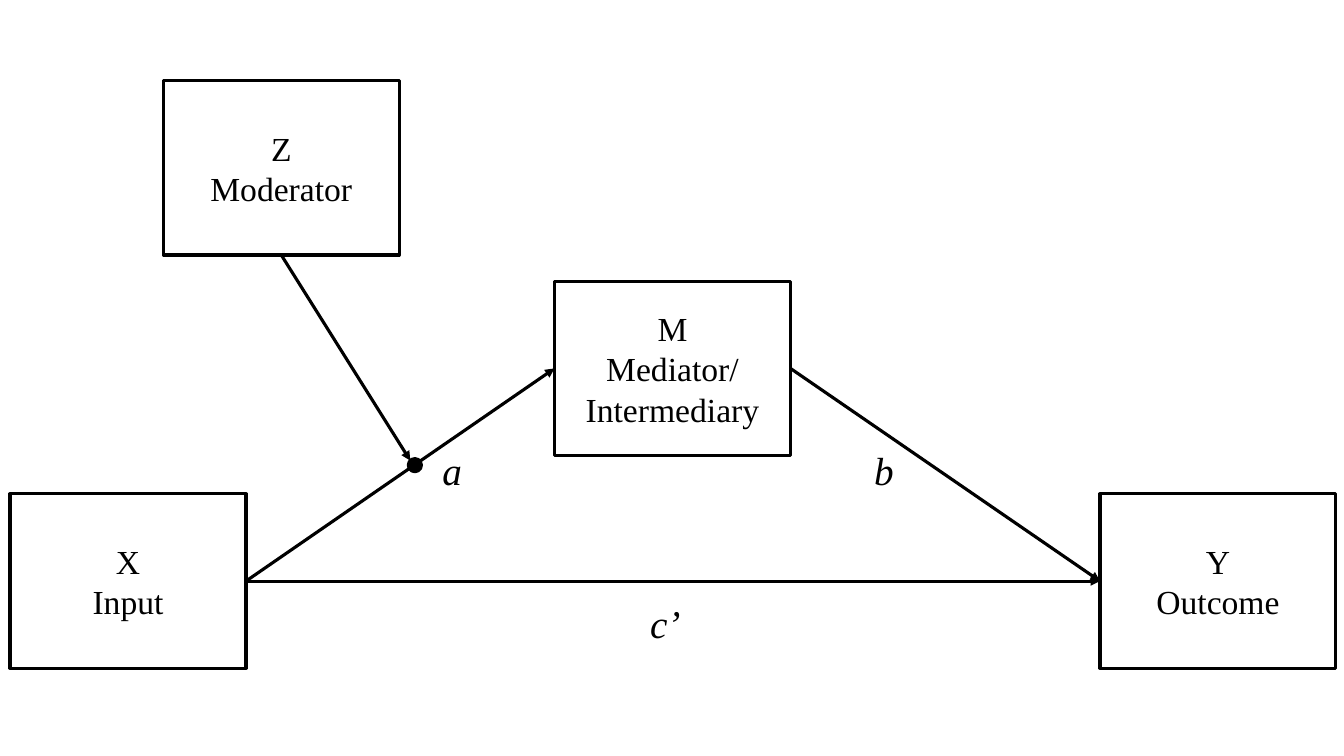
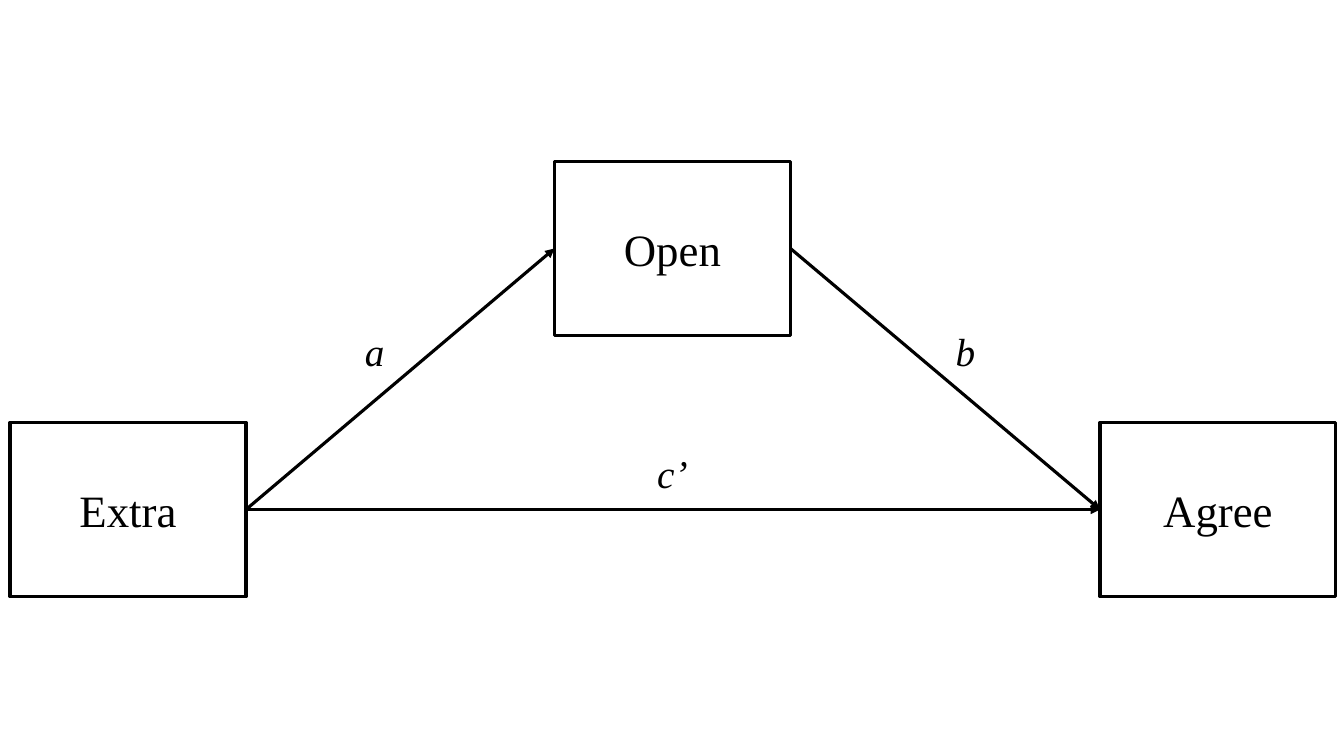
from dataclasses import dataclass

from lxml.etree import SubElement
from pptx import Presentation
from pptx.dml.color import RGBColor
from pptx.enum.shapes import MSO_CONNECTOR, MSO_SHAPE
from pptx.enum.text import MSO_ANCHOR, MSO_AUTO_SIZE, PP_ALIGN
from pptx.oxml.ns import qn
from pptx.util import Inches, Pt


@dataclass(frozen=True)
class Theme:
    ink: RGBColor = RGBColor(0, 0, 0)
    paper: RGBColor = RGBColor(255, 255, 255)
    font: str = "Times New Roman"
    detail_size: int = 24
    name_size: int = 32
    path_size: int = 28
    line_width: float = 2.25


THEME = Theme()
BOX_WIDTH, BOX_HEIGHT = 2.34, 1.73
LABEL_HEIGHT = 0.57
DOT_SIZE = 0.13
# Left edges of the three boxes of a mediation triangle
INPUT_LEFT, MEDIATOR_LEFT, OUTCOME_LEFT = 0.1, 5.5, 10.91
# Connection sites of a rectangle
LEFT, BOTTOM, RIGHT = 1, 2, 3


def style_text(text_frame, size, italic=False, alignment=None):
    for paragraph in text_frame.paragraphs:
        paragraph.alignment = alignment
        for run in paragraph.runs:
            run.font.name = THEME.font
            run.font.size = Pt(size)
            run.font.italic = italic
            run.font.color.rgb = THEME.ink


def add_outlined(slide, preset, left, top, width, height, fill):
    shape = slide.shapes.add_shape(
        preset, Inches(left), Inches(top), Inches(width), Inches(height))
    shape.shadow.inherit = False
    shape.fill.solid()
    shape.fill.fore_color.rgb = fill
    shape.line.color.rgb = THEME.ink
    shape.line.width = Pt(THEME.line_width)
    return shape


def add_variable(slide, text, left, top, size):
    box = add_outlined(slide, MSO_SHAPE.RECTANGLE, left, top,
                       BOX_WIDTH, BOX_HEIGHT, THEME.paper)
    box.text_frame.text = text
    box.text_frame.vertical_anchor = MSO_ANCHOR.MIDDLE
    style_text(box.text_frame, size, alignment=PP_ALIGN.CENTER)
    return box


def add_arrow(slide, source, source_site, target=None, target_site=LEFT,
              end=(0, 0)):
    """Draw an arrow from a box to another box, or to a free end point."""
    arrow = slide.shapes.add_connector(
        MSO_CONNECTOR.STRAIGHT, 0, 0, Inches(end[0]), Inches(end[1]))
    arrow.begin_connect(source, source_site)
    if target is not None:
        arrow.end_connect(target, target_site)
    arrow.line.color.rgb = THEME.ink
    arrow.line.width = Pt(THEME.line_width)
    SubElement(arrow.line._get_or_add_ln(), qn("a:tailEnd"), type="triangle")
    SubElement(arrow._element.spPr, qn("a:effectLst"))


def add_path_label(slide, text, left, top, width=0.45):
    label = slide.shapes.add_textbox(
        Inches(left), Inches(top), Inches(width), Inches(LABEL_HEIGHT))
    label.text_frame.text = text
    label.text_frame.word_wrap = True
    label.text_frame.auto_size = MSO_AUTO_SIZE.SHAPE_TO_FIT_TEXT
    style_text(label.text_frame, THEME.path_size, italic=True)


def add_mediation(slide, names, size, mediator_top, base_top, label_places):
    """Draw input, mediator and outcome with the paths a, b and c’."""
    input_name, mediator_name, outcome_name = names
    mediator = add_variable(slide, mediator_name, MEDIATOR_LEFT,
                            mediator_top, size)
    outcome = add_variable(slide, outcome_name, OUTCOME_LEFT, base_top, size)
    source = add_variable(slide, input_name, INPUT_LEFT, base_top, size)

    for start, finish in ((mediator, outcome), (source, mediator),
                          (source, outcome)):
        add_arrow(slide, start, RIGHT, finish)

    a_place, b_place, direct_place = label_places
    add_path_label(slide, "a", *a_place)
    add_path_label(slide, "b", *b_place)
    add_path_label(slide, "c’", *direct_place, width=0.57)


def add_moderator(slide, text, left, top, dot_left, dot_top):
    """Draw a moderator that points at a dot on a path."""
    moderator = add_variable(slide, text, left, top, THEME.detail_size)
    add_arrow(slide, moderator, BOTTOM, end=(dot_left + 0.02, dot_top + 0.02))
    add_outlined(slide, MSO_SHAPE.OVAL, dot_left, dot_top,
                 DOT_SIZE, DOT_SIZE, THEME.ink)


def main():
    presentation = Presentation()
    presentation.slide_width = Inches(13.33)
    presentation.slide_height = Inches(7.5)
    blank_layout = presentation.slide_layouts[6]

    # Moderated mediation in general terms
    general = presentation.slides.add_slide(blank_layout)
    add_mediation(
        general,
        ("X\nInput", "M\nMediator/\vIntermediary", "Y\nOutcome"),
        THEME.detail_size, mediator_top=2.79, base_top=4.9,
        label_places=((4.29, 4.38), (8.57, 4.38), (6.35, 5.9)))
    add_moderator(general, "Z\nModerator", 1.62, 0.8,
                  dot_left=4.05, dot_top=4.55)

    # Mediation between personality traits
    traits = presentation.slides.add_slide(blank_layout)
    add_mediation(
        traits, ("Extra", "Open", "Agree"),
        THEME.name_size, mediator_top=1.6, base_top=4.19,
        label_places=((3.52, 3.2), (9.38, 3.2), (6.42, 4.41)))

    presentation.save("out.pptx")


if __name__ == "__main__":
    main()
